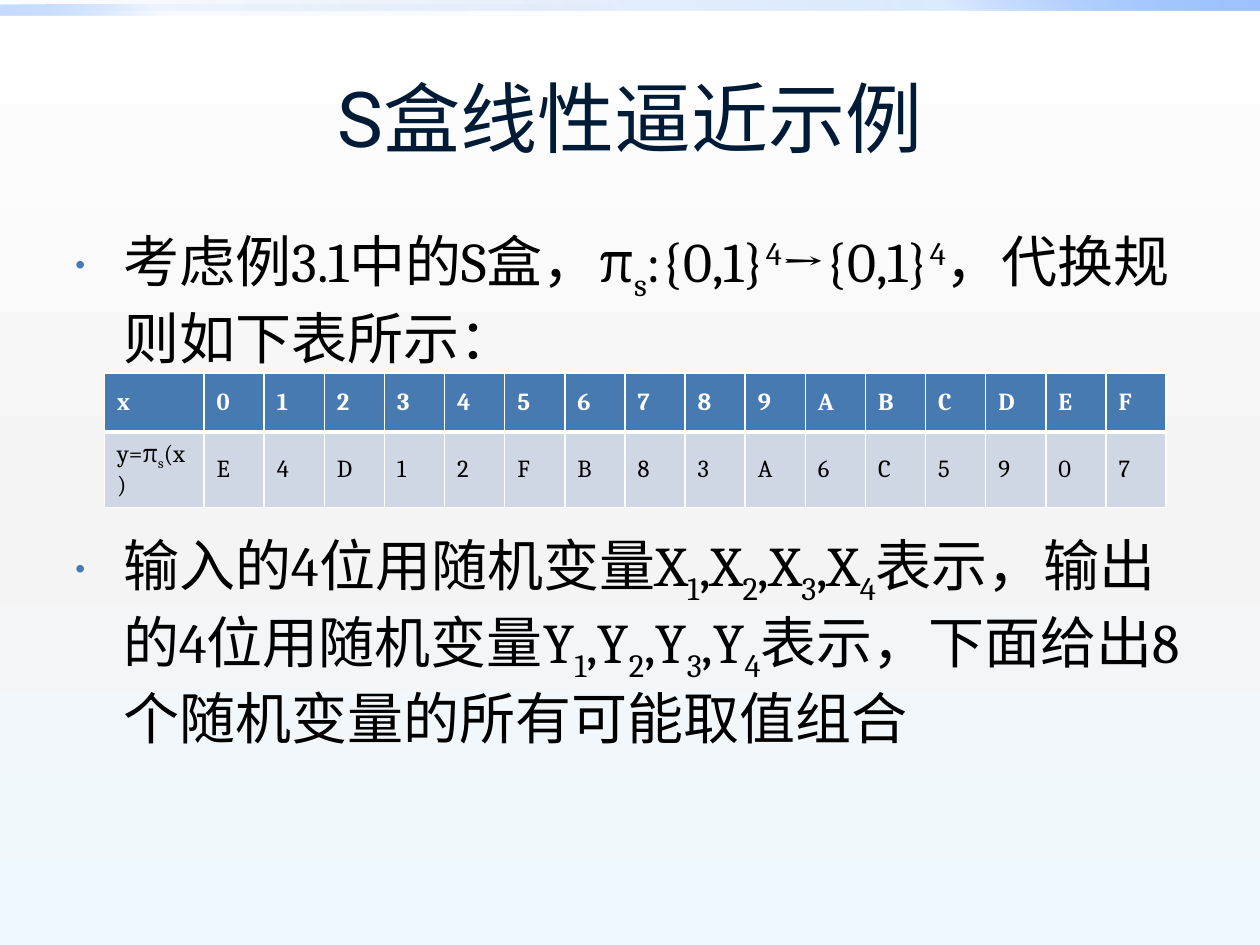
from dataclasses import dataclass

from lxml import etree
from pptx import Presentation
from pptx.dml.color import RGBColor
from pptx.enum.shapes import MSO_SHAPE
from pptx.enum.text import MSO_ANCHOR, PP_ALIGN
from pptx.oxml.ns import qn
from pptx.util import Inches, Pt

RECTANGLE = MSO_SHAPE.RECTANGLE
MIDDLE = MSO_ANCHOR.MIDDLE
CENTER = PP_ALIGN.CENTER
BLANK_LAYOUT = 6
SUBSCRIPT, SUPERSCRIPT = -25000, 30000


@dataclass(frozen=True)
class Theme:
    title_font: str = "Roboto"
    body_font: str = "Cambria"
    title_size: int = 44
    body_size: int = 32
    table_size: int = 14
    title_color: str = "001B36"
    text_color: str = "000000"
    accent: str = "477AB1"
    band: str = "CFD7E4"
    white: str = "FFFFFF"
    # Gradient stops: position, colour, opacity (all in percent)
    background: tuple = ((0, "FFFFFF", 100), (55, "F4F4F4", 100), (100, "EEF9FF", 100))
    wide_bar: tuple = ((0, "0058B7", 0), (75, "4F95FF", 20), (100, "9EC2FF", 100))
    short_bar: tuple = ((0, "0058B7", 0), (75, "4F95FF", 5), (100, "9EC2FF", 60))


THEME = Theme()

# Runs are (text, baseline shift)
RULE_TEXT = [
    ("考虑例3.1中的S盒，π", 0), ("s", SUBSCRIPT), (":{0,1}", 0), ("4", SUPERSCRIPT),
    ("→{0,1}", 0), ("4", SUPERSCRIPT), ("，代换规则如下表所示：", 0),
]
OUTPUT_LABEL = [("y=π", 0), ("s", SUBSCRIPT), ("(x)", 0)]
INPUTS = "0123456789ABCDEF"
OUTPUTS = "E4D12FB83A6C5907"


def indexed(name):
    """Runs for four comma-separated variables with subscripts 1 to 4."""
    runs = []
    for number in range(1, 5):
        runs += [(name if number == 1 else f",{name}", 0), (str(number), SUBSCRIPT)]
    return runs


VARIABLE_TEXT = [
    ("输入的4位用随机变量", 0), *indexed("X"),
    ("表示，输出的4位用随机变量", 0), *indexed("Y"),
    ("表示，下面给出8个随机变量的所有可能取值组合", 0),
]


def set_gradient(fill, element, stops, angle):
    fill.gradient()
    gradient = element.find(f".//{qn('a:gradFill')}")
    stop_list = gradient.find(qn("a:gsLst"))
    for stop in list(stop_list):
        stop_list.remove(stop)
    for position, color, opacity in stops:
        stop = etree.SubElement(stop_list, qn("a:gs"), pos=str(position * 1000))
        rgb = etree.SubElement(stop, qn("a:srgbClr"), val=color)
        if opacity < 100:
            etree.SubElement(rgb, qn("a:alpha"), val=str(opacity * 1000))
    gradient.find(qn("a:lin")).set("ang", str(angle * 60000))


def add_runs(paragraph, runs, font_name, size, color, bold=False):
    for text, baseline in runs:
        run = paragraph.add_run()
        run.text = text
        values = {"name": font_name, "size": Pt(size), "bold": bold}
        for attribute, value in values.items():
            setattr(run.font, attribute, value)
        run.font.color.rgb = RGBColor.from_string(color)
        if baseline:
            run._r.get_or_add_rPr().set("baseline", str(baseline))


def add_bullet(paragraph):
    properties = paragraph._p.get_or_add_pPr()
    properties.set("marL", str(Inches(0.38)))
    properties.set("indent", str(-Inches(0.38)))
    color = etree.SubElement(properties, qn("a:buClr"))
    etree.SubElement(color, qn("a:srgbClr"), val=THEME.accent)
    etree.SubElement(properties, qn("a:buSzPct"), val="50000")
    etree.SubElement(properties, qn("a:buFont"), typeface="Arial")
    etree.SubElement(properties, qn("a:buChar"), char="•")


def add_bar(slide, box, stops, angle):
    bar = slide.shapes.add_shape(RECTANGLE, *box)
    bar.shadow.inherit = False
    bar.line.fill.background()
    set_gradient(bar.fill, bar._element, stops, angle)


def add_text_frame(slide, box):
    frame = slide.shapes.add_textbox(*box).text_frame
    frame.word_wrap = True
    return frame


def add_title(slide, box):
    frame = add_text_frame(slide, box)
    frame.vertical_anchor = MIDDLE
    paragraph = frame.paragraphs[0]
    paragraph.alignment = CENTER
    add_runs(paragraph, [("S盒线性逼近示例", 0)],
             THEME.title_font, THEME.title_size, THEME.title_color)


def add_body(slide, box):
    frame = add_text_frame(slide, box)
    rule, variables = frame.paragraphs[0], frame.add_paragraph()
    # The gap leaves room for the table
    variables.space_before = Pt(91.5)
    for paragraph, runs in ((rule, RULE_TEXT), (variables, VARIABLE_TEXT)):
        add_bullet(paragraph)
        add_runs(paragraph, runs, THEME.body_font, THEME.body_size, THEME.text_color)


def set_borders(cell, bottom_width):
    properties = cell._tc.get_or_add_tcPr()
    for side, width in {"L": 1, "R": 1, "T": 1, "B": bottom_width}.items():
        line = etree.SubElement(properties, qn(f"a:ln{side}"), w=str(Pt(width)))
        fill = etree.SubElement(line, qn("a:solidFill"))
        etree.SubElement(fill, qn("a:srgbClr"), val=THEME.white)


def add_substitution_table(slide, box):
    rows = [
        [[("x", 0)]] + [[(value, 0)] for value in INPUTS],
        [OUTPUT_LABEL] + [[(value, 0)] for value in OUTPUTS],
    ]
    # Fill, text colour, bold, bottom border, height
    styles = [
        (THEME.accent, THEME.white, True, 3, 0.47),
        (THEME.band, THEME.text_color, False, 1, 0.43),
    ]
    table = slide.shapes.add_table(len(rows), len(rows[0]), *box).table
    label_width = Inches(0.79)
    value_width = (box[2] - label_width) // len(INPUTS)
    for index, column in enumerate(table.columns):
        column.width = value_width if index else label_width
    for row, contents, style in zip(table.rows, rows, styles):
        fill, color, bold, bottom_width, height = style
        row.height = Inches(height)
        for cell, runs in zip(row.cells, contents):
            set_borders(cell, bottom_width)
            cell.fill.solid()
            cell.fill.fore_color.rgb = RGBColor.from_string(fill)
            cell.vertical_anchor = MIDDLE
            add_runs(cell.text_frame.paragraphs[0], runs,
                     THEME.body_font, THEME.table_size, color, bold)


def inches(*lengths):
    return tuple(Inches(length) for length in lengths)


def main():
    presentation = Presentation()
    presentation.slide_width, presentation.slide_height = inches(10, 7.5)
    slide = presentation.slides.add_slide(presentation.slide_layouts[BLANK_LAYOUT])

    # Background and top bars
    set_gradient(slide.background.fill, slide._element, THEME.background, 90)
    add_bar(slide, inches(0, 0, 10, 0.08), THEME.wide_bar, 315)
    add_bar(slide, inches(0, 0.04, 5, 0.08), THEME.short_bar, 135)

    # Content
    add_title(slide, inches(0.5, 0.3, 9, 1.25))
    add_body(slide, inches(0.5, 1.75, 9, 4.95))
    add_substitution_table(slide, inches(0.83, 2.96, 8.43, 0.9))
    presentation.save("out.pptx")


if __name__ == "__main__":
    main()
